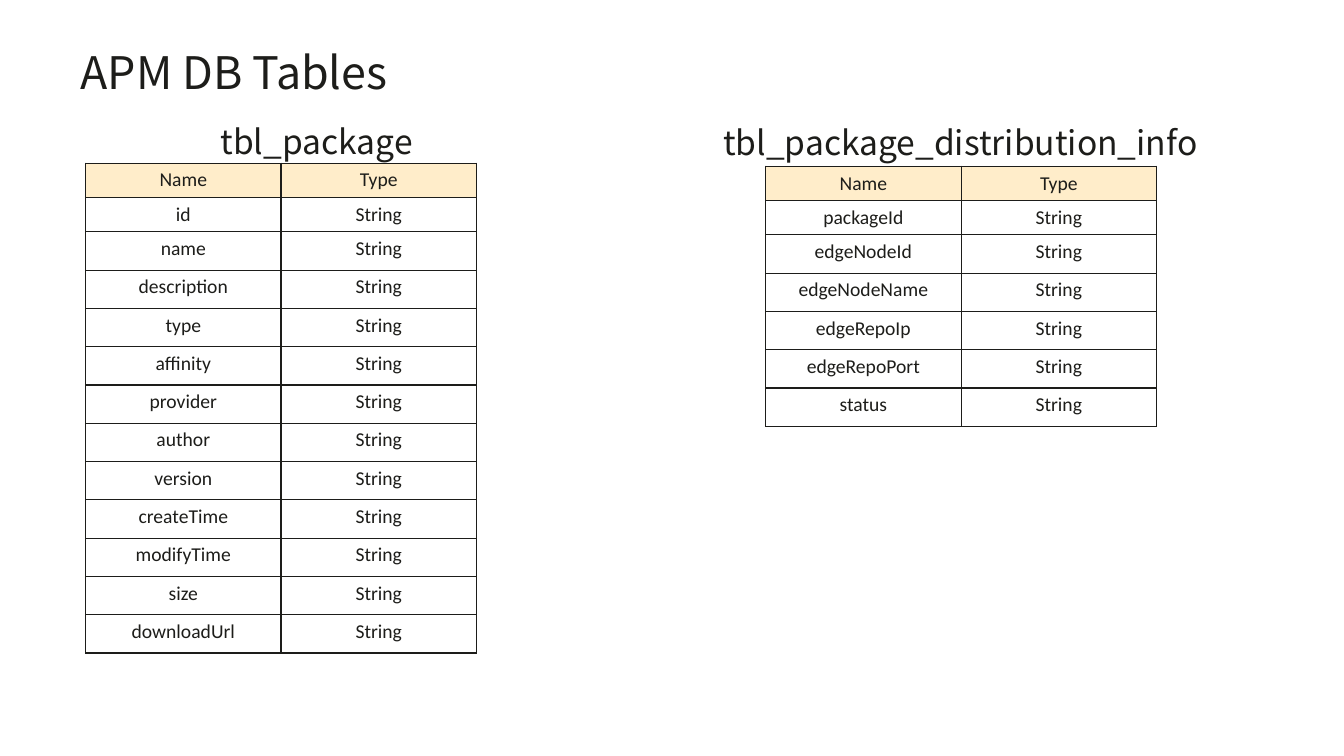
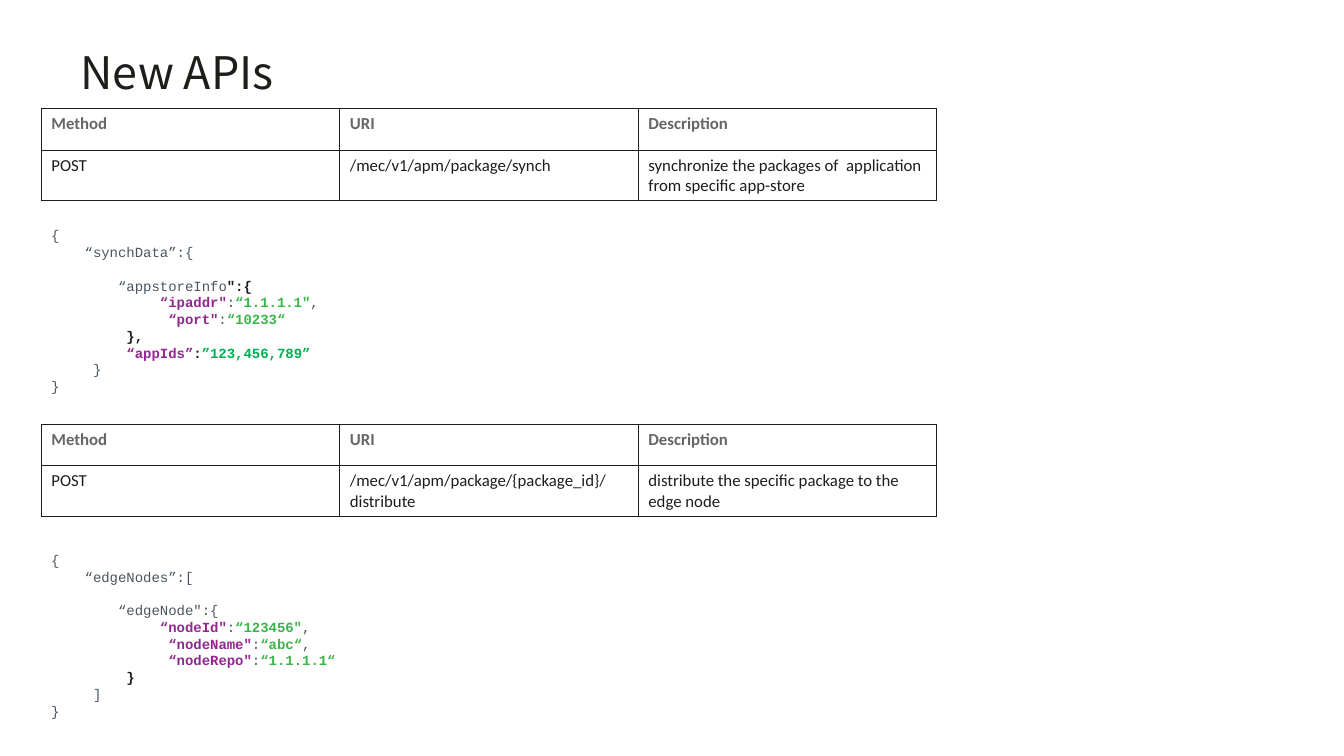
from pptx import Presentation
from pptx.dml.color import RGBColor
from pptx.enum.text import MSO_AUTO_SIZE as AutoSize, PP_ALIGN as Align
from pptx.oxml import parse_xml
from pptx.oxml.ns import nsdecls
from pptx.util import Inches, Pt

COLORS = {
    "ink": "1D1D1A", "header": "FFEDCA", "heading": "666666", "plain": "4A5560",
    "key": "92278F", "value": "3AB54A", "ids": "00B050",
}
HEADING_FONT, TABLE_FONT, CODE_FONT = "Noto Sans CJK SC", "Calibri", "Courier New"
BOLD_CODE = {"ink", "key", "value", "ids"}

DB_TITLE = "APM DB Tables"
DB_TABLES = [
    {"name": "tbl_package", "name_at": (2.09, 1.07, 2.13, 0.58), "left": 0.85, "top": 1.62,
     "fields": ["id", "name", "description", "type", "affinity", "provider", "author",
                "version", "createTime", "modifyTime", "size", "downloadUrl"]},
    {"name": "tbl_package_distribution_info", "name_at": (7.08, 1.08, 4.92, 0.54),
     "left": 7.6, "top": 1.65,
     "fields": ["packageId", "edgeNodeId", "edgeNodeName", "edgeRepoIp", "edgeRepoPort",
                "status"]},
]

API_TITLE = "New APIs"
API_HEADER = ["Method", "URI", "Description"]
APIS = [
    {"top": 1.08, "body_top": 2.2,
     "call": ["POST", "/mec/v1/apm/package/synch",
              "synchronize the packages of  application from specific app-store"],
     "body": [
         [("{", "plain")],
         [("    “synchData”:{", "plain")],
         [("        “appstoreInfo", "plain"), ('":{', "ink")],
         [('             “ipaddr"', "key"), (":", "plain"), ('“1.1.1.1"', "value"),
          (",", "plain")],
         [('              “port"', "key"), (":", "plain"), ("“10233“", "value")],
         [("         },", "ink")],
         [("         “appIds”", "key"), (":", "ink"), ("”123,456,789”", "ids")],
         [("     }", "plain")],
         [("}", "plain")],
     ]},
    {"top": 4.21, "body_top": 5.42,
     "call": ["POST", "/mec/v1/apm/package/{package_id}/distribute",
              "distribute the specific package to the edge node"],
     "body": [
         [("{", "plain")],
         [("    “edgeNodes”:[", "plain")],
         [('        “edgeNode":{', "plain")],
         [('             “nodeId"', "key"), (":", "plain"), ('“123456"', "value"),
          (",", "plain")],
         [('              “nodeName"', "key"), (":", "plain"), ("“abc“", "value"),
          (",", "plain")],
         [('              “nodeRepo"', "key"), (":", "plain"), ("“1.1.1.1“", "value")],
         [("         }", "ink")],
         [("     ]", "plain")],
         [("}", "plain")],
     ]},
]
INNER_OBJECT_LINE = 2


def write(paragraph, text, *, size, font, color="ink", bold=False, align=None, line=None):
    run = paragraph.add_run()
    run.text = text
    run.font.size, run.font.name, run.font.bold = Pt(size), font, bold
    run.font.color.rgb = RGBColor.from_string(COLORS[color])
    if align is not None:
        paragraph.alignment = align
    if line:
        paragraph.line_spacing = Pt(line)


def add_frame(slide, left, top, width, height, wrap=True):
    frame = slide.shapes.add_textbox(*map(Inches, (left, top, width, height))).text_frame
    frame.word_wrap = wrap
    return frame


def add_titled_slide(deck, title):
    slide = deck.slides.add_slide(deck.slide_layouts[6])
    frame = add_frame(slide, 0.8, 0.5, 11.75, 1.09)
    frame.margin_left = frame.margin_top = frame.margin_right = frame.margin_bottom = 0
    write(frame.paragraphs[0], title, size=32, font=HEADING_FONT, line=34.3)
    return slide


def add_borders(cell):
    properties = cell._tc.get_or_add_tcPr()
    for position, side in enumerate(("lnL", "lnR", "lnT", "lnB")):
        properties.insert(position, parse_xml(
            f'<a:{side} {nsdecls("a")} w="{Pt(1)}"><a:solidFill>'
            f'<a:srgbClr val="{COLORS["ink"]}"/></a:solidFill></a:{side}>'))


def add_grid(slide, left, top, width, heights, rows, header_format, header_fill=None, **body_format):
    columns = len(rows[0])
    table = slide.shapes.add_table(len(rows), columns, Inches(left), Inches(top),
                                   Inches(width), Inches(sum(heights))).table
    table.first_row = table.horz_banding = False
    for column in table.columns:
        column.width = Inches(width / columns)
    for r, (texts, height) in enumerate(zip(rows, heights)):
        table.rows[r].height = Inches(height)
        for c, text in enumerate(texts):
            cell = table.cell(r, c)
            if r == 0 and header_fill:
                cell.fill.solid()
                cell.fill.fore_color.rgb = RGBColor.from_string(COLORS[header_fill])
            else:
                cell.fill.background()
            add_borders(cell)
            cell_format = {**body_format, **(header_format if r == 0 else {})}
            write(cell.text_frame.paragraphs[0], text, font=TABLE_FONT, **cell_format)


def add_code(slide, top, lines):
    frame = add_frame(slide, 0.41, top, 10.15, 1.78)
    for number, pieces in enumerate(lines):
        paragraph = frame.paragraphs[0] if number == 0 else frame.add_paragraph()
        if number == INNER_OBJECT_LINE:
            paragraph.space_before = Pt(12)
        for text, color in pieces:
            write(paragraph, text, size=10, font=CODE_FONT, color=color,
                  bold=color in BOLD_CODE, line=12)


def build_db_slide(deck):
    slide = add_titled_slide(deck, DB_TITLE)
    for entry in DB_TABLES:
        rows = [("Name", "Type")] + [(field, "String") for field in entry["fields"]]
        heights = [0.34] * 2 + [0.38] * (len(rows) - 2)
        add_grid(slide, entry["left"], entry["top"], 3.88, heights, rows, {},
                 header_fill="header", size=14, align=Align.CENTER)
        frame = add_frame(slide, *entry["name_at"], wrap=False)
        frame.auto_size = AutoSize.SHAPE_TO_FIT_TEXT
        write(frame.paragraphs[0], entry["name"], size=24, font=HEADING_FONT, line=34.4)


def build_api_slide(deck):
    slide = add_titled_slide(deck, API_TITLE)
    for api in APIS:
        add_grid(slide, 0.41, api["top"], 8.89, [0.41, 0.5], [API_HEADER, api["call"]],
                 {"color": "heading", "bold": True}, size=12)
        add_code(slide, api["body_top"], api["body"])


def main():
    deck = Presentation()
    deck.slide_width, deck.slide_height = Inches(13.34), Inches(7.5)
    build_db_slide(deck)
    build_api_slide(deck)
    deck.save("out.pptx")


if __name__ == "__main__":
    main()
